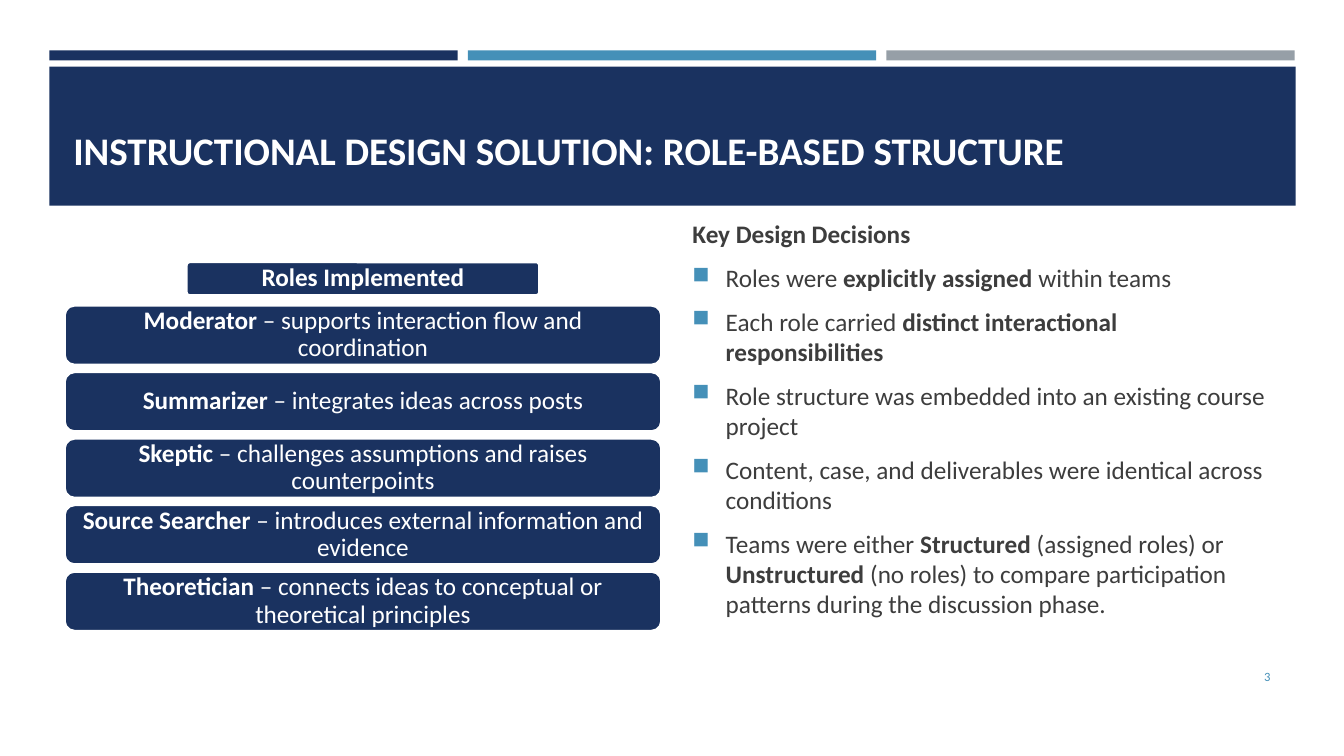
from lxml import etree
from pptx import Presentation
from pptx import util as u
from pptx.dml.color import RGBColor
from pptx.enum import shapes, text
from pptx.oxml import ns

NAVY, BLUE, GREY, WHITE, INK = "1A3260", "4590B8", "969FA7", "FFFFFF", "3D3D3D"
RECT, ROUNDED = shapes.MSO_SHAPE.RECTANGLE, shapes.MSO_SHAPE.ROUNDED_RECTANGLE

presentation = Presentation()
presentation.slide_width, presentation.slide_height = u.Inches(13.33), u.Inches(7.5)
slide = presentation.slides.add_slide(presentation.slide_layouts[6])


def add_block(kind, left, top, width, height, fill, line=None, radius=None):
    """Add a filled preset shape; lengths are in inches."""
    shape = slide.shapes.add_shape(kind, *map(u.Inches, (left, top, width, height)))
    shape.shadow.inherit = False
    shape.fill.solid()
    shape.fill.fore_color.rgb = RGBColor.from_string(fill)
    if line:
        shape.line.color.rgb = RGBColor.from_string(line)
        shape.line.width = u.Pt(1.75)
    else:
        shape.line.fill.background()
    if radius is not None:
        shape.adjustments[0] = radius
    return shape


def write(shape, paragraphs, size=18, color=INK, align="LEFT", anchor="MIDDLE",
          inset=(0.1, 0.05), line_spacing=1.0, before=0, after=0, bullets_from=None):
    """Fill a shape with paragraphs, each a list of (text, bold) runs."""
    frame = shape.text_frame
    frame.word_wrap = True
    frame.vertical_anchor = text.MSO_ANCHOR[anchor]
    frame.margin_left = frame.margin_right = u.Inches(inset[0])
    frame.margin_top = frame.margin_bottom = u.Inches(inset[1])
    for index, runs in enumerate(paragraphs):
        paragraph = frame.paragraphs[0] if index == 0 else frame.add_paragraph()
        paragraph.alignment = text.PP_ALIGN[align]
        paragraph.line_spacing = line_spacing
        paragraph.space_before, paragraph.space_after = u.Pt(before), u.Pt(after)
        if bullets_from is not None and index >= bullets_from:
            properties = paragraph._p.get_or_add_pPr()
            properties.set("marL", str(u.Inches(0.33)))
            properties.set("indent", str(-u.Inches(0.33)))
            bullet_color = etree.SubElement(properties, ns.qn("a:buClr"))
            etree.SubElement(bullet_color, ns.qn("a:srgbClr"), val=BLUE)
            etree.SubElement(properties, ns.qn("a:buSzPct"), val="92000")
            etree.SubElement(properties, ns.qn("a:buChar"), char="■")
        for words, bold in runs:
            run = paragraph.add_run()
            run.text = words
            run.font.name, run.font.size, run.font.bold = "Calibri", u.Pt(size), bold
            run.font.color.rgb = RGBColor.from_string(color)


# Three strips across the top, on columns of equal width
margin, strip_width, strip_gap = 0.49, 4.05, 0.1
for column, color in enumerate((NAVY, BLUE, GREY)):
    add_block(RECT, margin + column * (strip_width + strip_gap), 0.5, strip_width, 0.1, color)

# Title band
add_block(RECT, margin, 0.66, 12.36, 1.38, NAVY)
title = slide.shapes.add_textbox(*map(u.Inches, (0.63, 0.99, 11.96, 1)))
write(title, [[("INSTRUCTIONAL DESIGN SOLUTION: ROLE-BASED STRUCTURE", True)]],
      size=27.9, color=WHITE)

# Roles: a heading and one bar per row
role_format = dict(color=WHITE, align="CENTER", line_spacing=0.9)
heading = add_block(ROUNDED, 1.85, 2.6, 3.5, 0.33, NAVY, WHITE, 0.1)
write(heading, [[("Roles Implemented", True)]], inset=(0.04, 0.03), **role_format)

roles = [
    ("Moderator", "supports interaction flow and coordination"),
    ("Summarizer", "integrates ideas across posts"),
    ("Skeptic", "challenges assumptions and raises counterpoints"),
    ("Source Searcher", "introduces external information and evidence"),
    ("Theoretician", "connects ideas to conceptual or theoretical principles"),
]
first_row, row_pitch = 3.03, 0.66
for row, (role, duty) in enumerate(roles):
    bar = add_block(ROUNDED, 0.64, first_row + row * row_pitch, 5.92, 0.59, NAVY, WHITE, 0.167)
    write(bar, [[(role, True), (f" – {duty}", False)]], inset=(0.14, 0), **role_format)

# Design decisions
decisions = [
    [("Key Design Decisions", True)],
    [("Roles were ", False), ("explicitly assigned", True), (" within teams", False)],
    [("Each role carried ", False), ("distinct interactional responsibilities", True)],
    [("Role structure was embedded into an existing course project", False)],
    [("Content, case, and deliverables were identical across conditions", False)],
    [("Teams were either ", False), ("Structured", True), (" (assigned roles) or ", False),
     ("Unstructured", True),
     (" (no roles) to compare participation patterns during the discussion phase.", False)],
]
body = slide.shapes.add_textbox(*map(u.Inches, (6.77, 2.12, 5.93, 4.29)))
write(body, decisions, anchor="TOP", before=3.6, after=6, bullets_from=1)

# Slide number
number = slide.shapes.add_textbox(*map(u.Inches, (11.55, 6.51, 1.15, 0.4)))
write(number, [[("3", False)]], size=9, color=BLUE, align="RIGHT")

presentation.save("out.pptx")
